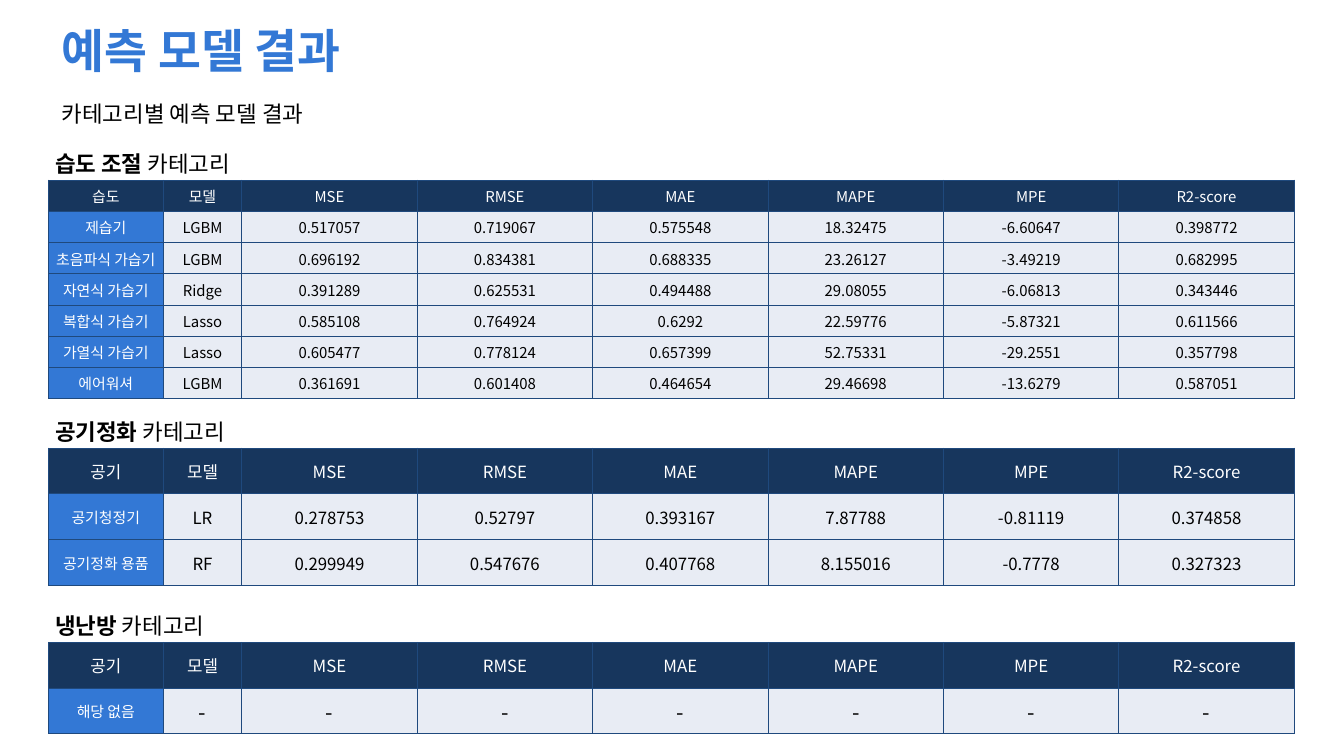
from lxml.etree import SubElement
from pptx import Presentation
from pptx.dml.color import RGBColor
from pptx.enum.text import MSO_ANCHOR as Anchor, MSO_AUTO_SIZE as AutoSize, PP_ALIGN as Align
from pptx.oxml.ns import qn
from pptx.util import Cm, Pt

FONT = "Noto Sans CJK KR"
NAVY = RGBColor(0x17, 0x36, 0x5D)
BLUE = RGBColor(0x33, 0x78, 0xD5)
PALE = RGBColor(0xE8, 0xEC, 0xF4)
BORDER = RGBColor(0x1F, 0x49, 0x7D)
WHITE = RGBColor(0xFF, 0xFF, 0xFF)
BLACK = RGBColor(0x00, 0x00, 0x00)

LEFT = Cm(1.83)
INDENTED_LEFT = Cm(2.08)
LINE_HEIGHT = Cm(1.24)
COLUMN_WIDTHS = [Cm(4.34), Cm(2.97)] + [Cm(6.63)] * 6
HEADERS = ["모델", "MSE", "RMSE", "MAE", "MAPE", "MPE", "R2-score"]


def style_paragraph(paragraph, size, color, align):
    paragraph.alignment = align
    font = paragraph.font
    font.size = Pt(size)
    font.color.rgb = color
    font.name = FONT
    defaults = paragraph._p.pPr.find(qn("a:defRPr"))
    SubElement(defaults, qn("a:ea")).set("typeface", FONT)


def add_line(left, top, bold_text, plain_text):
    frame = slide.shapes.add_textbox(left, top, Cm(24.49), LINE_HEIGHT).text_frame
    frame.word_wrap = True
    frame.vertical_anchor = Anchor.MIDDLE
    paragraph = frame.paragraphs[0]
    style_paragraph(paragraph, 24, BLACK, Align.LEFT)
    if bold_text:
        category = paragraph.add_run()
        category.text = bold_text
        category.font.bold = True
    paragraph.add_run().text = plain_text


prs = Presentation()
prs.slide_width = Cm(50.8)
prs.slide_height = Cm(28.58)
slide = prs.slides.add_slide(prs.slide_layouts[5])

title = slide.shapes.title
title.left, title.top, title.width, title.height = INDENTED_LEFT, Cm(0.74), Cm(26.8), Cm(2.29)
title.text_frame.text = "예측 모델 결과"
title.text_frame.auto_size = AutoSize.NONE
title.text_frame.vertical_anchor = Anchor.MIDDLE
style_paragraph(title.text_frame.paragraphs[0], 50, BLUE, Align.JUSTIFY)
title.text_frame.paragraphs[0].font.bold = True

add_line(INDENTED_LEFT, Cm(3.66), "", "카테고리별 예측 모델 결과")

humidity_rows = [
    ["제습기", "LGBM", "0.517057", "0.719067", "0.575548", "18.32475", "-6.60647", "0.398772"],
    ["초음파식 가습기", "LGBM", "0.696192", "0.834381", "0.688335", "23.26127", "-3.49219", "0.682995"],
    ["자연식 가습기", "Ridge", "0.391289", "0.625531", "0.494488", "29.08055", "-6.06813", "0.343446"],
    ["복합식 가습기", "Lasso", "0.585108", "0.764924", "0.6292", "22.59776", "-5.87321", "0.611566"],
    ["가열식 가습기", "Lasso", "0.605477", "0.778124", "0.657399", "52.75331", "-29.2551", "0.357798"],
    ["에어워셔", "LGBM", "0.361691", "0.601408", "0.464654", "29.46698", "-13.6279", "0.587051"],
]
air_rows = [
    ["공기청정기", "LR", "0.278753", "0.52797", "0.393167", "7.87788", "-0.81119", "0.374858"],
    ["공기정화 용품", "RF", "0.299949", "0.547676", "0.407768", "8.155016", "-0.7778", "0.327323"],
]
heating_rows = [["해당 없음"] + ["-"] * 7]

categories = [
    ("습도 조절", "습도", humidity_rows, Cm(6.81), Cm(1.18), 16, 16),
    ("공기정화", "공기", air_rows, Cm(16.94), Cm(1.73), 18, 18),
    ("냉난방", "공기", heating_rows, Cm(24.28), Cm(1.73), 18, 23),
]

for category, corner, results, top, row_height, header_size, value_size in categories:
    add_line(LEFT, top - LINE_HEIGHT, category, " 카테고리")

    rows = [[corner] + HEADERS] + results
    table = slide.shapes.add_table(
        len(rows), len(COLUMN_WIDTHS), LEFT, top, sum(COLUMN_WIDTHS), row_height * len(rows)
    ).table
    table.first_row = False
    table.horz_banding = False
    for column, width in zip(table.columns, COLUMN_WIDTHS):
        column.width = width

    for r, row in enumerate(rows):
        table.rows[r].height = row_height
        for c, text in enumerate(row):
            if r == 0:
                fill, color, size = NAVY, WHITE, header_size
            elif c == 0:
                fill, color, size = BLUE, WHITE, 16
            else:
                fill, color, size = PALE, BLACK, value_size

            cell = table.cell(r, c)
            cell.text = text
            cell.vertical_anchor = Anchor.MIDDLE
            cell.margin_left = cell.margin_right = cell.margin_top = Cm(0.03)
            cell.margin_bottom = 0
            style_paragraph(cell.text_frame.paragraphs[0], size, color, Align.CENTER)

            for side in ("a:lnL", "a:lnR", "a:lnT", "a:lnB"):
                edge = SubElement(cell._tc.get_or_add_tcPr(), qn(side), w=str(Pt(1)))
                edge_fill = SubElement(edge, qn("a:solidFill"))
                SubElement(edge_fill, qn("a:srgbClr"), val=str(BORDER))
            cell.fill.solid()
            cell.fill.fore_color.rgb = fill

prs.save("out.pptx")
